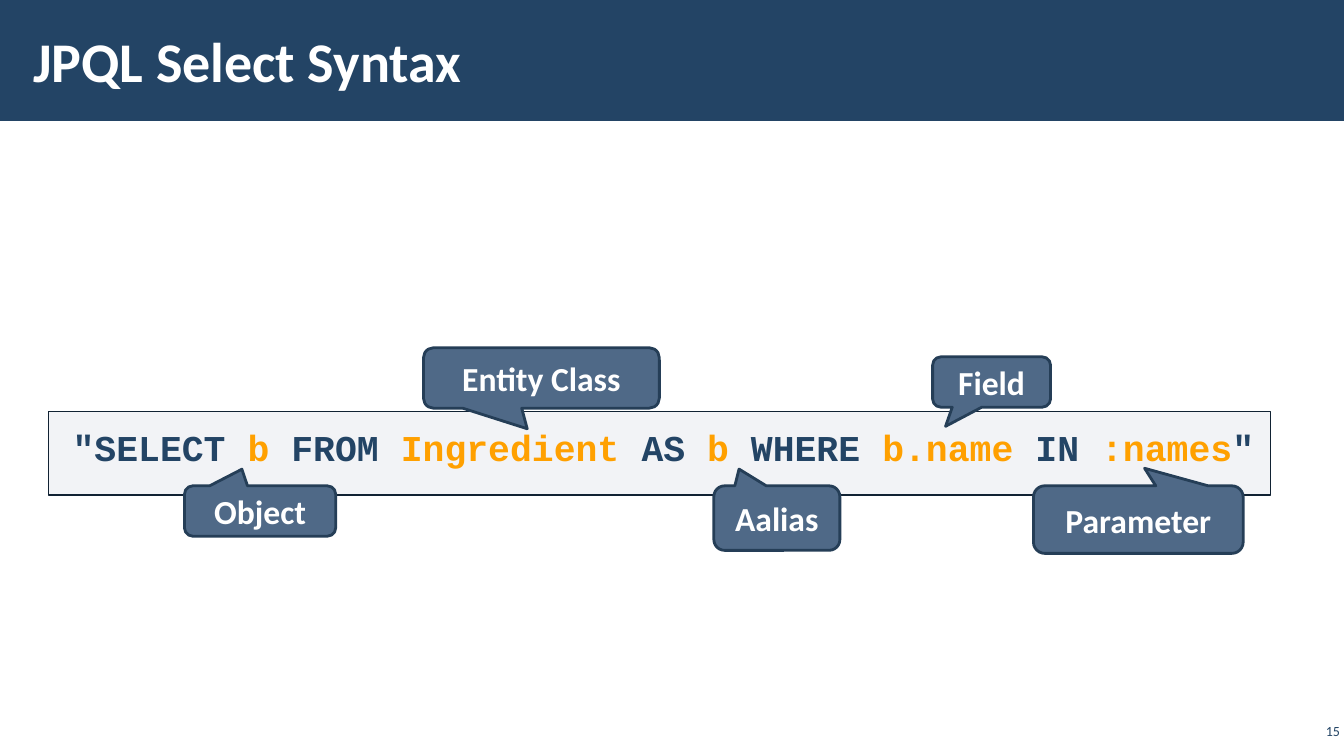
"""Builds the slide that explains the parts of a JPQL select query."""
from lxml import etree
from pptx import Presentation
from pptx.dml.color import RGBColor
from pptx.enum import shapes, text
from pptx.oxml import ns
from pptx.util import Inches, Pt

COLORS = {
    "navy": "234465",
    "white": "FFFFFF",
    "orange": "FFA000",
    "panel": "ADB4C3",
    "panel_line": "112233",
    "callout": "4F6987",
    "callout_line": "253E57",
}
TITLE = "JPQL Select Syntax"
PAGE_NUMBER = "15"
QUERY = [
    ('"SELECT ', "navy"), ("b", "orange"), (" FROM ", "navy"),
    ("Ingredient ", "orange"), ("AS ", "navy"), ("b", "orange"),
    (" WHERE ", "navy"), ("b.name", "orange"), (" IN ", "navy"),
    (":names", "orange"), ('"', "navy"),
]
CALLOUTS = [
    ("Entity Class", (4.2, 3.45, 2.34, 0.6), (-0.06, 0.84)),
    ("Aalias", (7.08, 4.82, 1.25, 0.64), (-0.3, -0.76)),
    ("Object", (1.83, 4.82, 1.5, 0.5), (-0.12, -0.83)),
    ("Field", (9.25, 3.54, 1.17, 0.5), (-0.39, 0.88)),
    ("Parameter", (10.25, 4.82, 2.08, 0.67), (0.03, -0.76)),
]


def color(name):
    return RGBColor.from_string(COLORS[name])


def add_panel(page, kind, place, fill, line=None, width=1):
    panel = page.shapes.add_shape(kind, *map(Inches, place))
    panel.shadow.inherit = False
    panel.fill.solid()
    panel.fill.fore_color.rgb = color(fill)
    if line:
        panel.line.color.rgb = color(line)
        panel.line.width = Pt(width)
    else:
        panel.line.fill.background()
    return panel


def write(box, spans, size, font="Calibri", bold=True, align="LEFT",
          anchor="MIDDLE", insets=(0.1, 0.05, 0.1, 0.05)):
    frame = box.text_frame
    frame.word_wrap = True
    frame.vertical_anchor = text.MSO_ANCHOR[anchor]
    (frame.margin_left, frame.margin_top,
     frame.margin_right, frame.margin_bottom) = map(Inches, insets)
    para = frame.paragraphs[0]
    para.alignment = text.PP_ALIGN[align]
    for words, tint in spans:
        span = para.add_run()
        span.text = words
        span.font.name = font
        span.font.size = Pt(size)
        span.font.bold = bold
        span.font.color.rgb = color(tint)
    return para


def main():
    deck = Presentation()
    deck.slide_width, deck.slide_height = Inches(13.33), Inches(7.5)
    page = deck.slides.add_slide(deck.slide_layouts[6])
    rectangle = shapes.MSO_SHAPE.RECTANGLE

    add_panel(page, rectangle, (0, 0, 13.33, 1.2), "navy")
    title = page.shapes.add_textbox(*map(Inches, (0.21, 0.11, 10.39, 0.97)))
    write(title, [(TITLE, "white")], 40, insets=(0.12, 0.04, 0.12, 0.04))

    query = add_panel(page, rectangle, (0.48, 4.08, 12.12, 0.83), "panel", "panel_line")
    tint = query.fill._xPr.find(".//" + ns.qn("a:srgbClr"))
    etree.SubElement(tint, ns.qn("a:alpha"), val="15000")
    para = write(query, QUERY, 26, "Courier New", anchor="TOP",
                 insets=(0.24, 0.12, 0.1, 0.12))
    para.line_spacing = 1.05

    number = page.shapes.add_textbox(*map(Inches, (12.86, 7.14, 0.47, 0.22)))
    write(number, [(PAGE_NUMBER, "navy")], 10, bold=False, align="RIGHT",
          insets=(0.04,) * 4)

    for label, place, tip in CALLOUTS:
        callout = add_panel(page, shapes.MSO_SHAPE.ROUNDED_RECTANGULAR_CALLOUT,
                            place, "callout", "callout_line", 2)
        callout.adjustments[0], callout.adjustments[1] = tip
        write(callout, [(label, "white")], 24, align="CENTER")

    deck.save("out.pptx")


if __name__ == "__main__":
    main()
